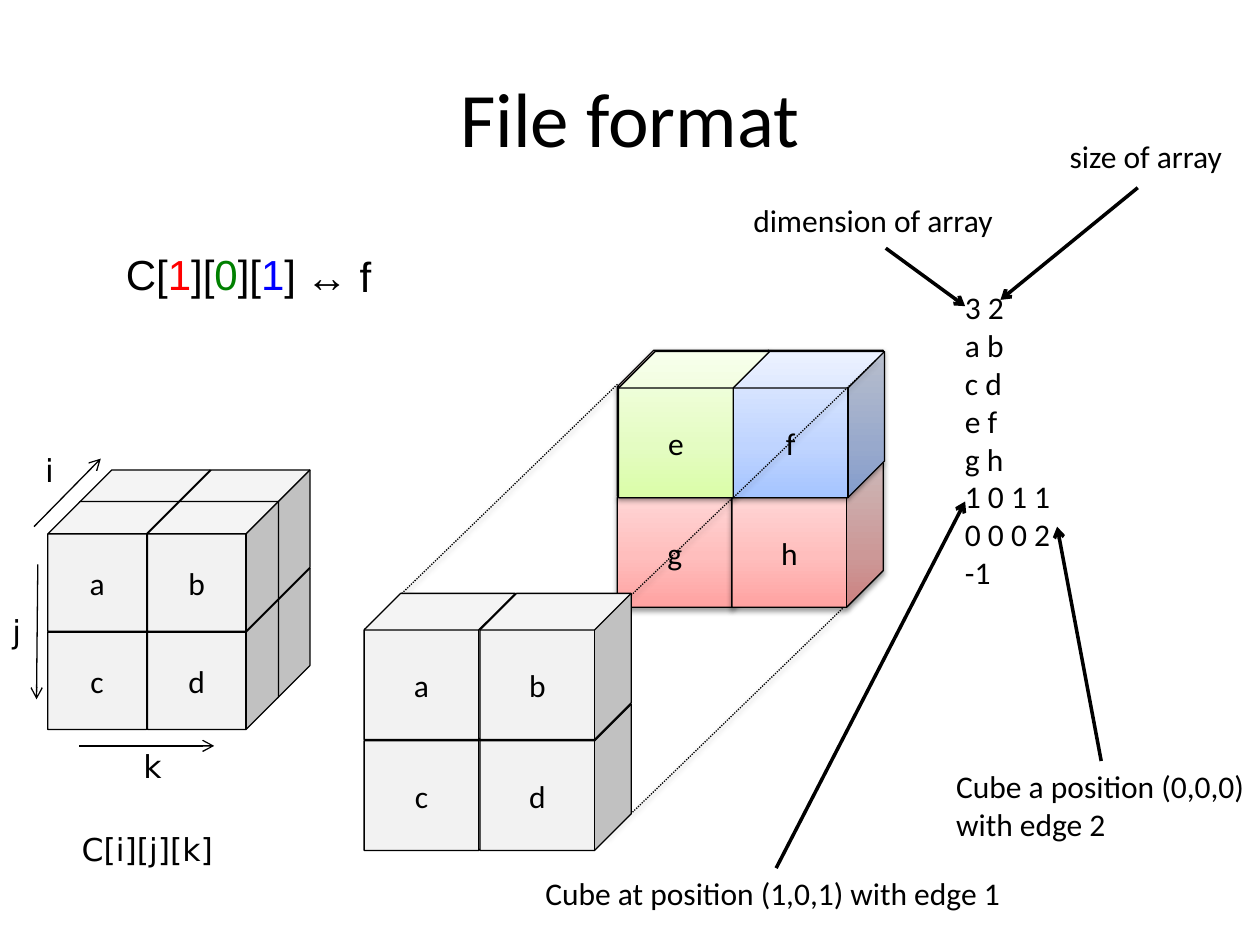
from lxml.etree import SubElement
from pptx import Presentation
from pptx.dml.color import RGBColor
from pptx.enum.dml import MSO_LINE
from pptx.enum.shapes import MSO_CONNECTOR, MSO_SHAPE as SHAPE
from pptx.enum.text import MSO_ANCHOR as ANCHOR, MSO_AUTO_SIZE as AUTO, PP_ALIGN as ALIGN
from pptx.oxml.ns import qn
from pptx.util import Inches, Pt

BLACK, GRAY = "000000", "F2F2F2"
# Gradient colours from top to bottom
RED = ("FFE5E5", "FFBEBD", "FFA2A1")
GREEN = ("F5FFE7", "E4FCC2", "DAFDA7")
BLUE = ("E6EEFF", "BFD4FF", "A4C4FF")
STOPS = (0, 65, 100)


def rgb(value):
    return RGBColor.from_string(value)


class Deck:
    font = "Calibri"
    label_size = 18
    thin, thick = 0.75, 2

    def __init__(self):
        self.prs = Presentation()
        self.prs.slide_width, self.prs.slide_height = Inches(10), Inches(7.5)
        self.s = self.prs.slides.add_slide(self.prs.slide_layouts[5])

    def style(self, r, size=label_size, font=font, color=BLACK):
        r.font.size, r.font.name = Pt(size), font
        r.font.color.rgb = rgb(color)

    def title(self, text):
        sp = self.s.shapes.title
        sp.left, sp.top, sp.width, sp.height = map(Inches, (0.5, 0.3, 9, 1.25))
        tf = sp.text_frame
        tf.text = text
        tf.vertical_anchor = ANCHOR.MIDDLE
        tf.paragraphs[0].alignment = ALIGN.CENTER
        self.style(tf.paragraphs[0].runs[0], 44)

    def text(self, x, y, w, h, text, size=label_size, font=font):
        sp = self.s.shapes.add_textbox(*map(Inches, (x, y, w, h)))
        tf = sp.text_frame
        tf.word_wrap, tf.auto_size = False, AUTO.SHAPE_TO_FIT_TEXT
        tf.text = text
        for p in tf.paragraphs:
            for r in p.runs:
                self.style(r, size, font)
        return sp

    def colored_text(self, x, y, w, h, parts, size, font):
        """One line made of (text, colour) parts."""
        p = self.text(x, y, w, h, "", size, font).text_frame.paragraphs[0]
        for text, color in parts:
            r = p.add_run()
            r.text = text
            self.style(r, size, font, color)

    def effects(self, sp, shadow):
        """Replace the theme shadow by a soft one below, or by none."""
        effects = SubElement(sp._element.spPr, qn("a:effectLst"))
        if shadow:
            outer = SubElement(effects, qn("a:outerShdw"), blurRad=str(Pt(3.1)),
                               dist=str(Pt(1.6)), dir="5400000", rotWithShape="0")
            color = SubElement(outer, qn("a:srgbClr"), val=BLACK)
            SubElement(color, qn("a:alpha"), val="38000")

    def line(self, start, end, width=thin, dotted=False):
        """A plain arrow, or a dotted line with a shadow."""
        points = map(Inches, (*start, *end))
        sp = self.s.shapes.add_connector(MSO_CONNECTOR.STRAIGHT, *points)
        sp.line.color.rgb, sp.line.width = rgb(BLACK), Pt(width)
        if dotted:
            sp.line.dash_style = MSO_LINE.ROUND_DOT
        else:
            SubElement(sp.line._get_or_add_ln(), qn("a:tailEnd"), type="arrow")
        self.effects(sp, dotted)

    def gradient(self, sp, colors):
        sp.fill.gradient()
        sp.fill.gradient_angle = 270
        stops = sp._element.spPr.find(qn("a:gradFill")).find(qn("a:gsLst"))
        stops.clear()
        for position, color in zip(STOPS, colors):
            gs = SubElement(stops, qn("a:gs"), pos=str(position * 1000))
            SubElement(gs, qn("a:srgbClr"), val=color)

    def cube(self, x, y, w, h, label="", fill=GRAY, shadow=False):
        sp = self.s.shapes.add_shape(SHAPE.CUBE, *map(Inches, (x, y, w, h)))
        if isinstance(fill, tuple):
            self.gradient(sp, fill)
        else:
            sp.fill.solid()
            sp.fill.fore_color.rgb = rgb(fill)
        sp.line.color.rgb, sp.line.width = rgb(BLACK), Pt(self.thin)
        self.effects(sp, shadow)
        if label:
            tf = sp.text_frame
            tf.text = label
            tf.vertical_anchor = ANCHOR.MIDDLE
            tf.paragraphs[0].alignment = ALIGN.CENTER
            self.style(tf.paragraphs[0].runs[0])


CUBE = (1.2, 1.16)
SMALL_CUBE = (1.04, 1.03)


def grid(labels, x, y, dx, dy):
    """Yield label, left and top of a 2 by 2 layer, bottom row first."""
    for i in (2, 3, 0, 1):
        yield labels[i], x + i % 2 * dx, y + i // 2 * dy


def file_listing(d):
    d.text(7.56, 2.24, 0.89, 2.52,
           "3 2\na b\nc d\ne f\ng h\n1 0 1 1\n0 0 0 2\n-1")
    notes = (
        ((7.49, 6.04, 2.51, 0.71), "Cube a position (0,0,0)\nwith edge 2",
         (8.74, 6.04), (8.39, 4.18)),
        ((4.23, 6.89, 3.85, 0.4), "Cube at position (1,0,1) with edge 1",
         (6.16, 6.89), (7.66, 3.98)),
        ((8.39, 1.04, 1.43, 0.4), "size of array", (9.03, 1.49), (7.94, 2.38)),
        ((5.88, 1.55, 2.12, 0.4), "dimension of array", (7.03, 1.97), (7.66, 2.43)),
    )
    for box, text, start, end in notes:
        d.text(*box, text)
        d.line(start, end, d.thick)


def indexed_cube(d):
    shift = 0.25
    for label, x, y in grid("abcd", 0.38, 3.98, 0.79, 0.78):
        d.cube(x + shift, y - shift, *SMALL_CUBE)
        d.cube(x, y, *SMALL_CUBE, label)
    axes = (
        ("i", (0.26, 3.53, 0.27, 0.4), (0.27, 4.18), (0.8, 3.64)),
        ("j", (0, 4.81, 0.3, 0.4), (0.3, 4.48), (0.29, 5.55)),
        ("k", (1.04, 5.88, 0.36, 0.4), (0.63, 5.92), (1.7, 5.92)),
    )
    for name, box, start, end in axes:
        d.line(start, end)
        d.text(*box, name, font="DejaVu Sans")
    d.text(0.55, 6.54, 1.37, 0.4, "C[i][j][k]", font="DejaVu Sans")


def split_layers(d):
    d.line((4.9, 3.05), (2.89, 5), dotted=True)
    d.line((6.82, 4.7), (4.81, 6.65), dotted=True)
    for label, x, y in grid("efgh", 4.9, 2.78, 0.91, 0.88):
        d.cube(x, y, *CUBE, label, RED, shadow=True)
    d.line((6.95, 2.86), (4.93, 4.8), dotted=True)
    d.cube(4.91, 2.79, *CUBE, "e", GREEN)
    d.cube(5.82, 2.79, *CUBE, "f", BLUE)
    d.line((6.95, 2.86), (5.82, 3.95), dotted=True)
    for label, x, y in grid("abcd", 2.89, 4.71, 0.92, 0.88):
        d.cube(x, y, *CUBE, label)


def main():
    d = Deck()
    d.title("File format")
    file_listing(d)
    indexed_cube(d)
    split_layers(d)
    d.colored_text(0.9, 1.92, 1.57, 0.51,
                   (("C[", BLACK), ("1", "FF0000"), ("][", BLACK), ("0", "008000"),
                    ("][", BLACK), ("1", "0000FF"), ("]", BLACK)), 24, "Arial")
    d.text(2.33, 1.94, 0.75, 0.51, "↔ f", 24, "Arial")
    d.prs.save("out.pptx")


if __name__ == "__main__":
    main()
